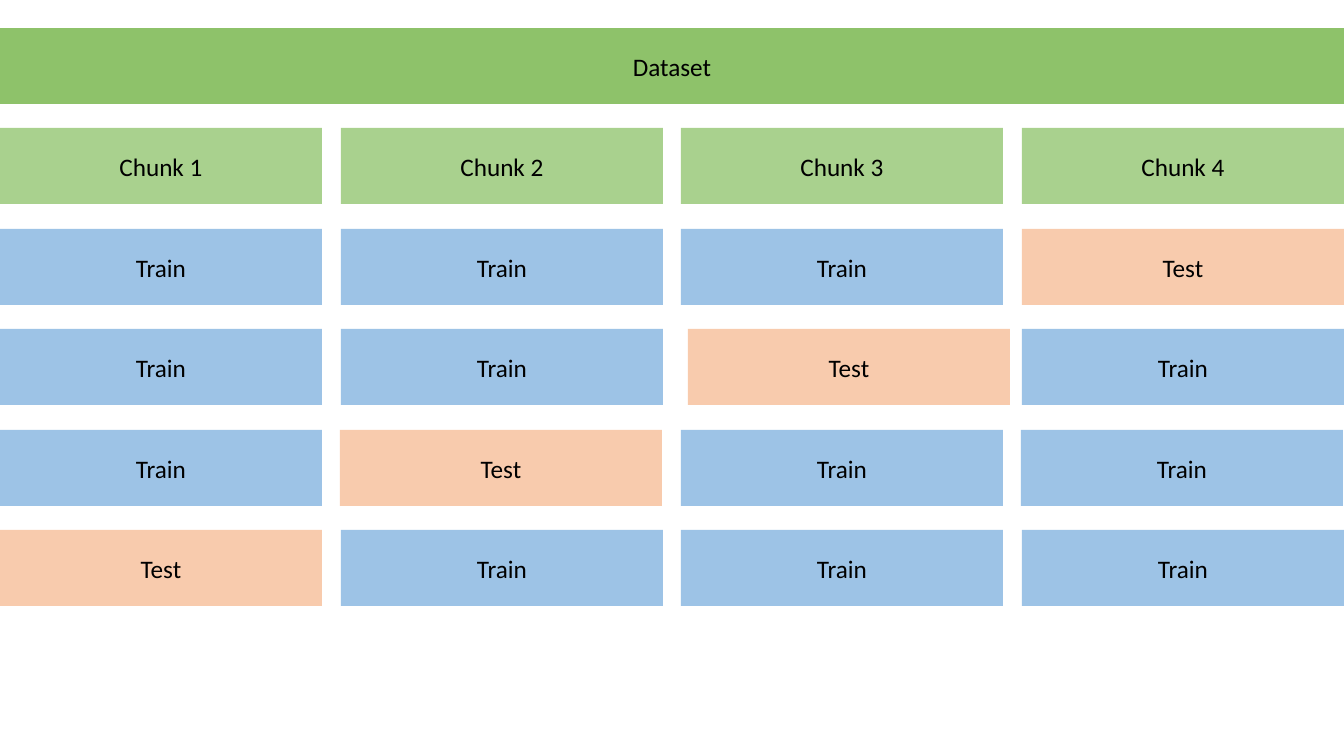
from pptx import Presentation
from pptx.dml.color import RGBColor
from pptx.enum.shapes import MSO_SHAPE
from pptx.enum.text import MSO_ANCHOR, PP_ALIGN
from pptx.util import Pt

RECTANGLE = MSO_SHAPE.RECTANGLE
MIDDLE = MSO_ANCHOR.MIDDLE
CENTER = PP_ALIGN.CENTER

DATASET_GREEN = RGBColor(0x8E, 0xC2, 0x6A)
CHUNK_GREEN = RGBColor(0xA9, 0xD1, 0x8E)
TRAIN_BLUE = RGBColor(0x9D, 0xC3, 0xE6)
TEST_ORANGE = RGBColor(0xF8, 0xCB, 0xAD)
BLACK = RGBColor(0x00, 0x00, 0x00)

SLIDE_WIDTH, SLIDE_HEIGHT = 1344, 756
EMU_PER_PX = 12192000 / SLIDE_WIDTH
BLANK_LAYOUT = 6

FOLDS = 4
TOP, BAR_HEIGHT, CHUNK_WIDTH = 28, 76, 322
LAST_LEFT = SLIDE_WIDTH - CHUNK_WIDTH
LAST_TOP = 530
NUDGES = {(1, 2): 7, (2, 1): -1, (2, 3): -1}


def px(length):
    """Turn pixels into EMU."""
    return round(length * EMU_PER_PX)


class FoldSlide:
    """Holds the text style and the slide being drawn."""

    def __init__(self, slide):
        self.slide = slide
        self.font_format = {"name": "Calibri", "size": Pt(18)}
        self.frame_format = {"vertical_anchor": MIDDLE, "word_wrap": True}

    def bar(self, label, left, top, width, fill):
        """Draw a filled bar with a centred label."""
        bar = self.slide.shapes.add_shape(
            RECTANGLE, px(left), px(top), px(width), px(BAR_HEIGHT))
        bar.shadow.inherit = False
        bar.fill.solid()
        bar.fill.fore_color.rgb = fill
        bar.line.fill.background()
        frame = bar.text_frame
        for attribute, value in self.frame_format.items():
            setattr(frame, attribute, value)
        paragraph = frame.paragraphs[0]
        paragraph.alignment = CENTER
        run = paragraph.add_run()
        run.text = label
        for attribute, value in self.font_format.items():
            setattr(run.font, attribute, value)
        run.font.color.rgb = BLACK


def row_top(row):
    """Return the top of one of the evenly spaced rows."""
    return TOP + round(row * (LAST_TOP - TOP) / (FOLDS + 1))


def chunk_left(column):
    """Return the left edge of one of the evenly spaced chunks."""
    return round(column * LAST_LEFT / (FOLDS - 1))


def main():
    """Build the cross-validation slide."""
    deck = Presentation()
    deck.slide_width = px(SLIDE_WIDTH)
    deck.slide_height = px(SLIDE_HEIGHT)
    diagram = FoldSlide(deck.slides.add_slide(deck.slide_layouts[BLANK_LAYOUT]))

    diagram.bar("Dataset", 0, row_top(0), SLIDE_WIDTH, DATASET_GREEN)
    for chunk in range(FOLDS):
        diagram.bar(f"Chunk {chunk + 1}", chunk_left(chunk), row_top(1),
                    CHUNK_WIDTH, CHUNK_GREEN)
    for fold in range(FOLDS):
        for chunk in range(FOLDS):
            is_test = fold + chunk == FOLDS - 1
            role, fill = ("Test", TEST_ORANGE) if is_test else ("Train", TRAIN_BLUE)
            left = chunk_left(chunk) + NUDGES.get((fold, chunk), 0)
            diagram.bar(role, left, row_top(fold + 2), CHUNK_WIDTH, fill)

    deck.save("out.pptx")


if __name__ == "__main__":
    main()
